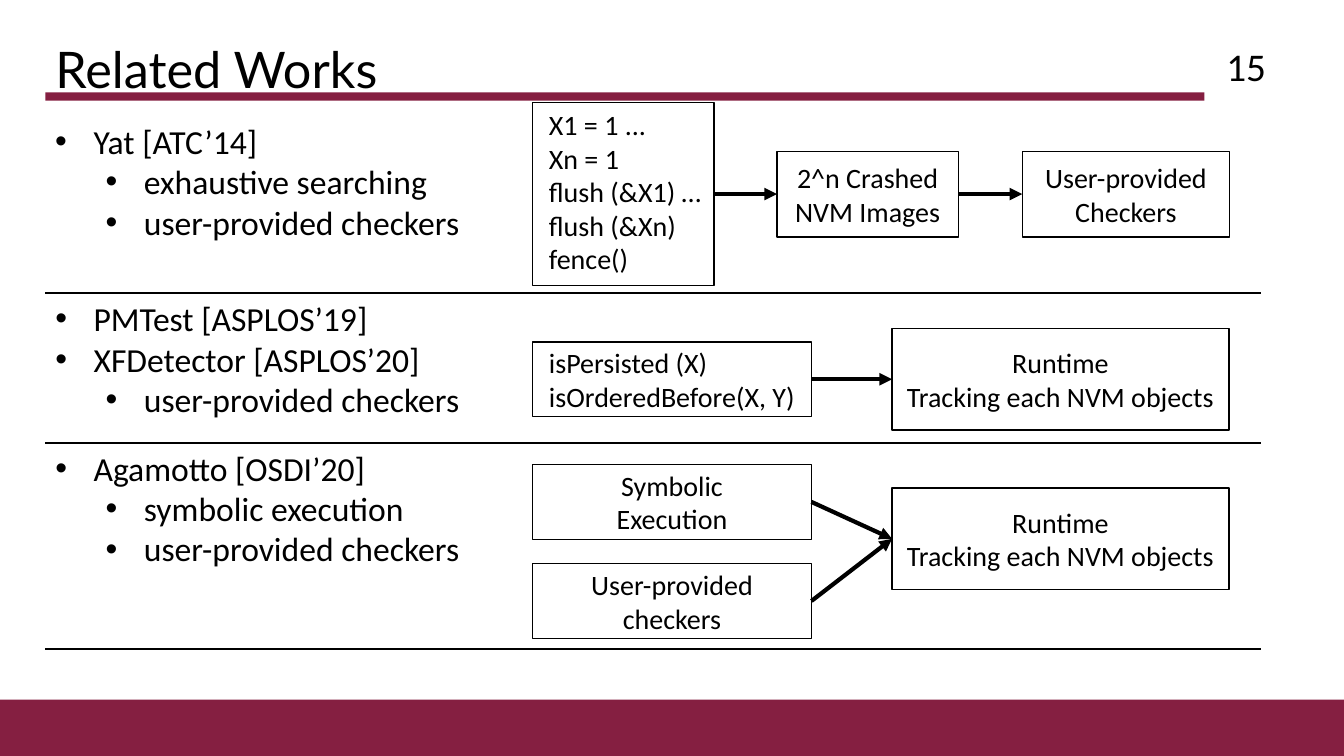
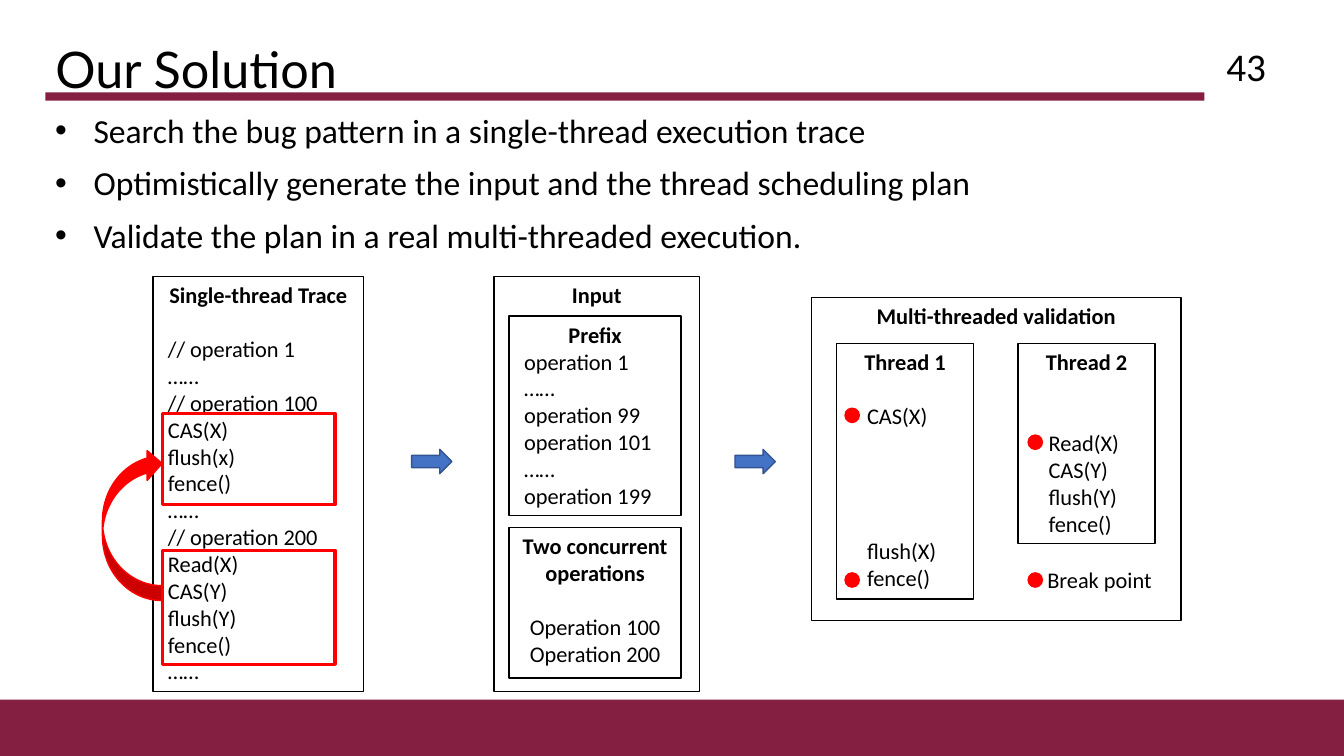
from dataclasses import dataclass, field
from typing import Any

import lxml.etree
import pptx
import pptx.dml.color
import pptx.enum.shapes
import pptx.enum.text
import pptx.oxml.ns
import pptx.slide
import pptx.util

SHAPE = pptx.enum.shapes.MSO_SHAPE
ALIGN = pptx.enum.text.PP_ALIGN
ANCHOR = pptx.enum.text.MSO_ANCHOR
COLUMNS, ROWS = 160, 90  # square cells, twelve to the inch
LEFT, RIGHT = 5.4, 150.1  # content edges, in columns


@dataclass(frozen=True)
class Theme:
    brand: str = "851F41"
    ink: str = "000000"
    paper: str = "FFFFFF"
    alert: str = "FF0000"
    flow: str = "4472C4"
    flow_edge: str = "325491"
    title_font: str = "Lato"
    font: str = "Calibri"
    title: float = 36
    number: float = 28
    body: float = 24
    diagram: float = 20
    detail: float = 16
    thin: float = 1
    divider: float = 1.5
    marker: float = 2.25
    arrow: float = 3
    detail_line: float = 19.3  # height of one detail line
    letter_indent: float = 0.23  # code indent step, in ems


THEME = Theme()


@dataclass(frozen=True)
class Area:
    """A place on the grid, in columns and rows."""
    left: float
    top: float
    width: float
    height: float


@dataclass(frozen=True)
class Line:
    text: str
    indent: int = 0  # code indent steps
    centred: bool = False
    bold: bool = False
    skip: int = 0  # detail lines left free above


@dataclass(frozen=True)
class Box:
    area: Area
    lines: list[Line] = field(default_factory=list)
    size: float = THEME.detail
    middle: bool = False


@dataclass(frozen=True)
class Bullets:
    area: Area
    items: list[tuple[int, str]]  # level and wording


def cells(count: float) -> int:
    return pptx.util.Inches(count / 12)


def place(area: Area) -> tuple[int, int, int, int]:
    return cells(area.left), cells(area.top), cells(area.width), cells(area.height)


def colour(code: str) -> pptx.dml.color.RGBColor:
    return pptx.dml.color.RGBColor.from_string(code)


def format_runs(para: Any, size: float, name: str = THEME.font, bold: bool = False) -> None:
    for span in para.runs:
        span.font.size = pptx.util.Pt(size)
        span.font.name = name
        span.font.bold = bold
        span.font.color.rgb = colour(THEME.ink)


def set_indent(para: Any, left: int, first: int = 0) -> Any:
    properties = para._p.get_or_add_pPr()
    properties.set("marL", str(int(left)))
    properties.set("indent", str(int(first)))
    return properties


# Drawing parts

def draw_shape(shapes: Any, kind: Any, area: Area, fill: str | None,
               edge: str | None, weight: float = THEME.thin) -> Any:
    shape = shapes.add_shape(kind, *place(area))
    shape.shadow.inherit = False
    if fill:
        shape.fill.solid()
        shape.fill.fore_color.rgb = colour(fill)
    else:
        shape.fill.background()
    if edge:
        shape.line.color.rgb = colour(edge)
        shape.line.width = pptx.util.Pt(weight)
    else:
        shape.line.fill.background()
    return shape


def draw_box(shapes: Any, box: Box) -> Any:
    shape = draw_shape(shapes, SHAPE.RECTANGLE, box.area, THEME.paper, THEME.ink)
    frame = shape.text_frame
    frame.word_wrap = True
    frame.vertical_anchor = ANCHOR.MIDDLE if box.middle else ANCHOR.TOP
    frame.text = "\n".join(line.text for line in box.lines)
    for para, line in zip(frame.paragraphs, box.lines):
        para.alignment = ALIGN.CENTER if line.centred else ALIGN.LEFT
        if line.indent:
            set_indent(para, pptx.util.Pt(line.indent * THEME.letter_indent * box.size))
        if line.skip:
            para.space_before = pptx.util.Pt(line.skip * THEME.detail_line)
        format_runs(para, box.size, bold=line.bold)
    return shape


def draw_text(shapes: Any, area: Area, text: str, size: float) -> Any:
    frame = shapes.add_textbox(*place(area)).text_frame
    frame.word_wrap = True
    frame.text = text
    for para in frame.paragraphs:
        format_runs(para, size)
    return frame


def draw_bullets(shapes: Any, bullets: Bullets) -> None:
    wording = "\n".join(text for _, text in bullets.items)
    frame = draw_text(shapes, bullets.area, wording, THEME.body)
    hang = pptx.util.Inches(0.38)
    for para, (level, _) in zip(frame.paragraphs, bullets.items):
        para.level = level
        properties = set_indent(para, hang + level * pptx.util.Inches(0.5), -hang)
        for tag, attribute, value in (("a:buFont", "typeface", "Arial"),
                                      ("a:buChar", "char", "•")):
            lxml.etree.SubElement(properties, pptx.oxml.ns.qn(tag)).set(attribute, value)


def draw_line(shapes: Any, weight: float, start: tuple[float, float] = (0, 0),
              end: tuple[float, float] = (0, 0)) -> Any:
    ends = [cells(value) for value in (*start, *end)]
    line = shapes.add_connector(pptx.enum.shapes.MSO_CONNECTOR.STRAIGHT, *ends)
    line.line.color.rgb = colour(THEME.ink)
    line.line.width = pptx.util.Pt(weight)
    lxml.etree.SubElement(line.element.spPr, pptx.oxml.ns.qn("a:effectLst"))
    return line


def join_boxes(shapes: Any, source: Any, target: Any) -> None:
    arrow = draw_line(shapes, THEME.arrow)
    arrow.begin_connect(source, 3)
    arrow.end_connect(target, 1)
    head = lxml.etree.SubElement(arrow.get_or_add_ln(), pptx.oxml.ns.qn("a:tailEnd"))
    head.set("type", "triangle")


def start_page(deck: Any, title: str, number: str) -> pptx.slide.Slide:
    """Add a page with the bands, title and number that all pages share."""
    page = deck.slides.add_slide(deck.slide_layouts[5])
    for band in (Area(0, 83.3, COLUMNS, 6.7), Area(LEFT, 11, 138, 1)):
        draw_shape(page.shapes, SHAPE.RECTANGLE, band, THEME.brand, None)

    heading = page.shapes.title
    heading.left, heading.top, heading.width, heading.height = place(Area(LEFT, 4.8, 138, 6.7))
    frame = heading.text_frame
    frame.text = title
    frame.auto_size = pptx.enum.text.MSO_AUTO_SIZE.NONE
    frame.vertical_anchor = ANCHOR.TOP
    para = frame.paragraphs[0]
    para.alignment = ALIGN.LEFT
    para.line_spacing = 0.9
    format_runs(para, THEME.title, THEME.title_font)

    frame = draw_text(page.shapes, Area(115.9, 5.5, 36, 4.8), number, THEME.number)
    frame.vertical_anchor = ANCHOR.MIDDLE
    frame.paragraphs[0].alignment = ALIGN.RIGHT
    return page


# Line lists

def centred(*texts: str) -> list[Line]:
    return [Line(text, centred=True) for text in texts]


def code(*texts: str, indent: int = 1, skip: int = 0) -> list[Line]:
    """Code lines, with the free space above the first one."""
    return [Line(text, indent, skip=0 if place_in_list else skip)
            for place_in_list, text in enumerate(texts)]


def caption(text: str) -> list[Line]:
    return [Line(text, centred=True, bold=True)]


# Pages

def build_related_works(deck: Any) -> None:
    shapes = start_page(deck, "Related Works", "15").shapes
    dividers = (34.9, 52.7, 77.3)
    for row in dividers:
        draw_line(shapes, THEME.divider, (LEFT, row), (RIGHT, row))

    checkers = (1, "user-provided checkers")
    for bullets in (
        Bullets(Area(LEFT, 13.8, 51.4, 15.7),
                [(0, "Yat [ATC’14]"), (1, "exhaustive searching"), checkers]),
        Bullets(Area(LEFT, dividers[0], 58, 15.7),
                [(0, "PMTest [ASPLOS’19]"), (0, "XFDetector [ASPLOS’20]"), checkers]),
        Bullets(Area(LEFT, dividers[1], 58, 15.7),
                [(0, "Agamotto [OSDI’20]"), (1, "symbolic execution"), checkers]),
    ):
        draw_bullets(shapes, bullets)

    first = 63.4  # left edge of the diagrams

    def step(area: Area, lines: list[Line], middle: bool = True) -> Any:
        return draw_box(shapes, Box(area, lines, THEME.diagram, middle))

    def small(top: float, lines: list[Line]) -> Any:
        return step(Area(first, top, 33.2, 8.9), lines)

    def runtime(top: float) -> Any:
        return step(Area(106.2, top, 40.1, 12.1),
                    centred("Runtime", "Tracking each NVM objects"))

    program = step(Area(first, 12.2, 21.6, 21.8), code(
        "X1 = 1 ...", "Xn = 1", "flush (&X1) …", "flush (&Xn)", "fence()"), middle=False)
    crashed = step(Area(92.5, 18, 21.6, 10.2), centred("2^n Crashed NVM Images"))
    checked = step(Area(121.7, 18, 24.7, 10.2), centred("User-provided", "Checkers"))
    asserts = small(40.7, code("isPersisted (X)", "isOrderedBefore(X, Y)"))
    tracked = runtime(39.1)
    symbolic = small(55.3, centred("Symbolic", "Execution"))
    provided = small(67.1, centred("User-provided", "checkers"))
    merged = runtime(58.1)
    for source, target in ((program, crashed), (crashed, checked), (asserts, tracked),
                           (symbolic, merged), (provided, merged)):
        join_boxes(shapes, source, target)


def build_our_solution(deck: Any) -> None:
    shapes = start_page(deck, "Our Solution", "43").shapes
    for index, text in enumerate((
        "Search the bug pattern in a single-thread execution trace",
        "Optimistically generate the input and the thread scheduling plan",
        "Validate the plan in a real multi-threaded execution.",
    )):
        draw_bullets(shapes, Bullets(Area(LEFT, 12.5 + 6.24 * index, 138, 6), [(0, text)]))

    # Trace with the two marked operations
    trace = shapes.add_group_shape().shapes
    draw_box(trace, Box(Area(18.2, 32.9, 25.1, 49.4), caption("Single-thread Trace") + code(
        "// operation 1", "……", "// operation 100", "CAS(X)", "flush(x)", "fence()", "……",
        "// operation 200", "Read(X)", "CAS(Y)", "flush(Y)", "fence()", "……", skip=1)))
    bend = draw_shape(trace, SHAPE.CURVED_LEFT_ARROW, Area(12.2, 53.4, 7.1, 18.1),
                      THEME.alert, THEME.alert)
    for flip in ("flipH", "flipV"):
        bend.element.spPr.get_or_add_xfrm().set(flip, "1")
    for top, height in ((49.2, 10.9), (65.5, 13.6)):
        draw_shape(trace, SHAPE.RECTANGLE, Area(19.3, top, 20.6, height),
                   None, THEME.alert, THEME.marker)

    # Generated input
    inputs = shapes.add_group_shape().shapes
    pair = [Line("Operation 100", centred=True, skip=1), Line("Operation 200", centred=True)]
    for box in (
        Box(Area(58.8, 32.9, 24.5, 49.4), caption("Input")),
        Box(Area(60.6, 37.6, 20.5, 23.8), caption("Prefix") + code(
            "operation 1", "……", "operation 99", "operation 101", "……", "operation 199")),
        Box(Area(60.6, 62.8, 20.5, 17.9), caption("Two concurrent operations") + pair),
    ):
        draw_box(inputs, box)

    # Validation on two threads
    threads = shapes.add_group_shape().shapes
    for box in (
        Box(Area(96.6, 35.4, 44, 38.5), caption("Multi-threaded validation")),
        Box(Area(99.6, 40.9, 16.3, 30.4), caption("Thread 1")
            + code("CAS(X)", indent=4, skip=1) + code("flush(X)", "fence()", indent=4, skip=4)),
        Box(Area(121.2, 40.9, 16.3, 23.8), caption("Thread 2")
            + code("Read(X)", "CAS(Y)", "flush(Y)", "fence()", indent=4, skip=2)),
    ):
        draw_box(threads, box)
    for left, top in ((100.6, 48.6), (100.6, 68.2), (122.4, 51.8), (122.4, 68.2)):
        draw_shape(threads, SHAPE.OVAL, Area(left, top, 1.7, 1.7), THEME.alert, THEME.alert)
    draw_text(threads, Area(123.5, 66.8, 15.7, 4.4), "Break point", THEME.detail)

    # Flow between the three stages
    for left in (49, 87.5):
        draw_shape(shapes, SHAPE.RIGHT_ARROW, Area(left, 53.5, 4.8, 2.9),
                   THEME.flow, THEME.flow_edge)


def main() -> None:
    deck = pptx.Presentation()
    deck.slide_width, deck.slide_height = cells(COLUMNS), cells(ROWS)
    build_related_works(deck)
    build_our_solution(deck)
    deck.save("out.pptx")


if __name__ == "__main__":
    main()
